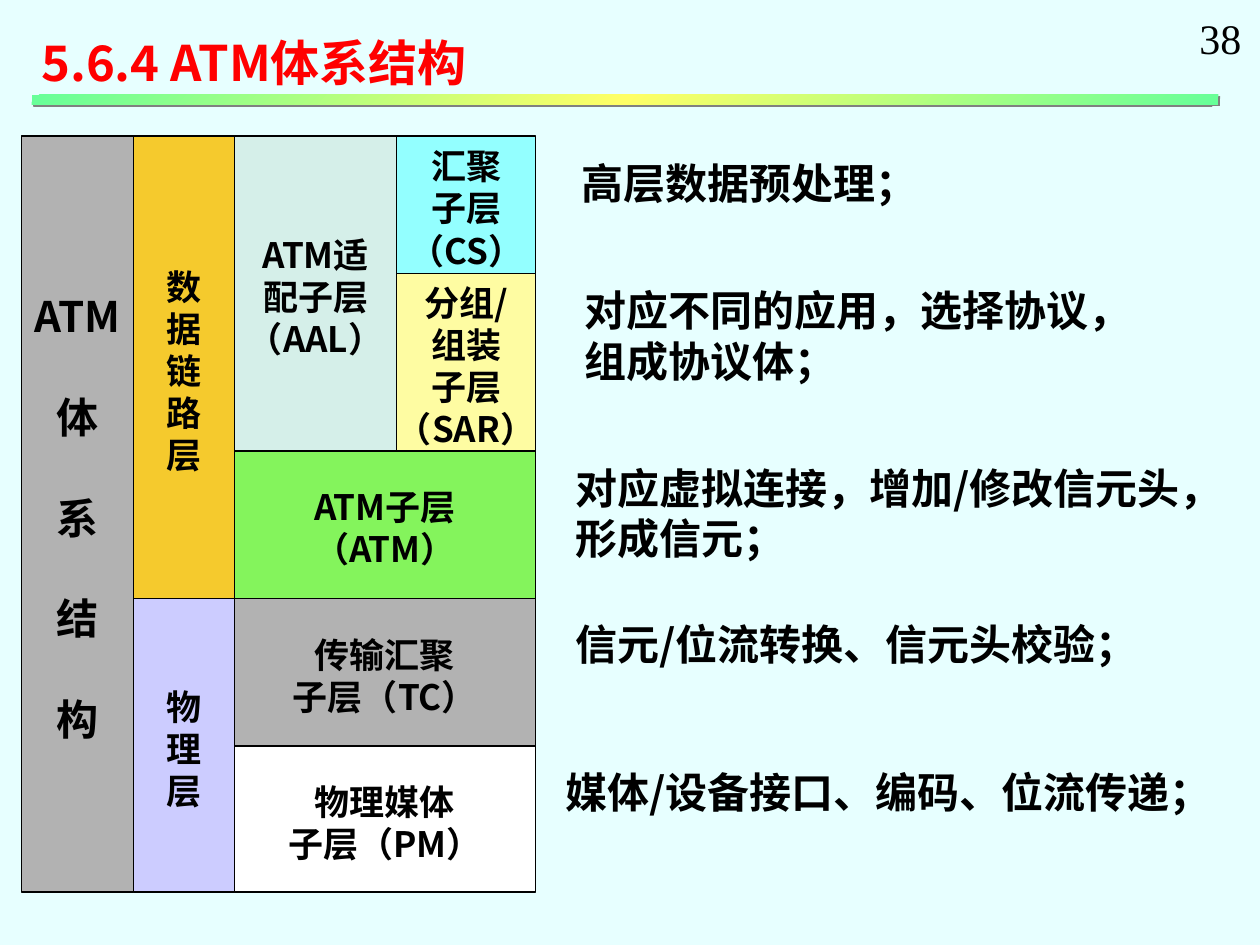
import lxml.etree
import pptx
import pptx.dml.color
import pptx.enum.shapes
import pptx.enum.text
import pptx.oxml.ns
import pptx.util

Inches = pptx.util.Inches
Pt = pptx.util.Pt
qn = pptx.oxml.ns.qn

COLORS = {
    "background": "E7FFFF", "text": "000000", "title": "FF0000",
    "white": "FFFFFF", "gray": "B2B2B2", "green": "84F45C",
    "mint": "D5EFE9", "lavender": "CCCCFF", "gold": "F5CA2D",
    "yellow": "FEFCA2", "cyan": "93FFFF",
    "bar_edge": "66FF99", "bar_middle": "FFFF66", "shadow": "808080",
}
SANS = "Noto Sans CJK SC"
SERIF = "Times New Roman"
LINE_HEIGHT = 1.2

# Edges of the layer diagram, in inches
COLUMN_EDGES = [0.17, 1.06, 1.86, 3.15, 4.25]
ROW_EDGES = [1.08, 2.17, 3.58, 4.75, 5.92, 7.08]

# First and last column edge, first and last row edge, fill, lines, format
CELLS = [
    (2, 4, 4, 5, "white", "物理媒体\n子层（PM）", {}),
    (2, 4, 3, 4, "gray", "传输汇聚\n子层（TC）", {}),
    (2, 4, 2, 3, "green", "ATM子层\n（ATM）", {}),
    (2, 3, 0, 2, "mint", "ATM适\n配子层\n（AAL）", {}),
    (1, 2, 3, 5, "lavender", "物\n理\n层", {}),
    (1, 2, 0, 3, "gold", "数\n据\n链\n路\n层", {"font": SERIF}),
    (3, 4, 1, 2, "yellow", "分组/\n组装\n子层\n（SAR）", {}),
    (3, 4, 0, 1, "cyan", "汇聚\n子层\n（CS）", {}),
    (0, 1, 0, 5, "gray", "ATM\n体\n系\n结\n构", {"size": 24, "gap": 28.8}),
]

# Left, top, width, height, lines
NOTES = [
    (4.52, 1.17, 2.86, 0.5, "高层数据预处理；"),
    (4.54, 2.18, 4.53, 0.9, "对应不同的应用，选择协议，\n组成协议体；"),
    (4.47, 3.59, 5.5, 0.9, "对应虚拟连接，增加/修改信元头，\n形成信元；"),
    (4.47, 4.83, 4.83, 0.5, "信元/位流转换、信元头校验；"),
    (4.39, 6, 5.5, 0.5, "媒体/设备接口、编码、位流传递；"),
]


def rgb(name):
    return pptx.dml.color.RGBColor.from_string(COLORS[name])


def add_color(parent, name):
    return lxml.etree.SubElement(parent, qn("a:srgbClr"), val=COLORS[name])


def write_text(frame, text, size=24, font=SANS, color="text", bold=True,
               align="LEFT", gap=0, fixed_lines=True):
    """Write one paragraph per line; gap is the space between them in points."""
    for index, line in enumerate(text.split("\n")):
        para = frame.add_paragraph() if index else frame.paragraphs[0]
        para.alignment = getattr(pptx.enum.text.PP_ALIGN, align)
        para.space_before = Pt(gap if index else 0)
        if fixed_lines:
            para.line_spacing = Pt(size * LINE_HEIGHT)
        span = para.add_run()
        span.text = line
        span.font.size = Pt(size)
        span.font.bold = bold
        span.font.name = font
        span.font.color.rgb = rgb(color)
        east_asian = lxml.etree.SubElement(span.font._element, qn("a:ea"))
        east_asian.set("typeface", SANS)


class SlideBuilder:
    def __init__(self, slide):
        self.slide = slide
        slide.background.fill.solid()
        slide.background.fill.fore_color.rgb = rgb("background")

    def rectangle(self, shapes, left, top, width, height):
        box = shapes.add_shape(
            pptx.enum.shapes.MSO_SHAPE.RECTANGLE,
            Inches(left), Inches(top), Inches(width), Inches(height))
        box.shadow.inherit = False
        return box

    def cell(self, group, left, top, right, bottom, fill, text, **text_format):
        box = self.rectangle(group.shapes, left, top, right - left, bottom - top)
        box.fill.solid()
        box.fill.fore_color.rgb = rgb(fill)
        box.line.color.rgb = rgb("text")
        box.line.width = Pt(0.75)
        frame = box.text_frame
        frame.word_wrap = False
        frame.vertical_anchor = pptx.enum.text.MSO_ANCHOR.MIDDLE
        frame.margin_top = Inches(0.1)
        write_text(frame, text, align="CENTER", **{"size": 20, **text_format})

    def label(self, left, top, width, height, text, wrap=False,
              margin_top=0.08, **text_format):
        box = self.slide.shapes.add_textbox(
            Inches(left), Inches(top), Inches(width), Inches(height))
        frame = box.text_frame
        frame.word_wrap = wrap
        frame.auto_size = pptx.enum.text.MSO_AUTO_SIZE.SHAPE_TO_FIT_TEXT
        frame.margin_top = Inches(margin_top)
        write_text(frame, text, **text_format)

    def gradient_bar(self, left, top, width, height):
        bar = self.rectangle(self.slide.shapes, left, top, width, height)
        bar.line.fill.background()
        bar.fill.gradient()
        bar.fill.gradient_angle = 315
        properties = bar._element.spPr
        stops = properties.find(".//" + qn("a:gsLst"))
        for stop in list(stops):
            stops.remove(stop)
        for percent, color in [(0, "bar_edge"), (50, "bar_middle"), (100, "bar_edge")]:
            stop = lxml.etree.SubElement(stops, qn("a:gs"), pos=str(percent * 1000))
            add_color(stop, color)
        shadow = lxml.etree.SubElement(
            properties.find(qn("a:effectLst")), qn("a:outerShdw"),
            dist=str(Pt(1.4)), dir=str(45 * 60000), algn="ctr", rotWithShape="0")
        add_color(shadow, "shadow")


def main():
    deck = pptx.Presentation()
    deck.slide_width = Inches(10)
    deck.slide_height = Inches(7.5)
    page = SlideBuilder(deck.slides.add_slide(deck.slide_layouts[6]))

    diagram = page.slide.shapes.add_group_shape()
    for first_column, last_column, first_row, last_row, fill, text, text_format in CELLS:
        page.cell(diagram, COLUMN_EDGES[first_column], ROW_EDGES[first_row],
                  COLUMN_EDGES[last_column], ROW_EDGES[last_row],
                  fill, text, **text_format)
    for note in NOTES:
        page.label(*note)
    page.label(9.42, 0.05, 0.53, 0.5, "38", font=SERIF, bold=False,
               margin_top=0.05, fixed_lines=False)
    page.label(0.23, 0.18, 3.98, 0.57, "5.6.4 ATM体系结构", wrap=True,
               size=28, color="title")
    page.gradient_bar(0.25, 0.75, 9.42, 0.08)
    deck.save("out.pptx")


if __name__ == "__main__":
    main()
